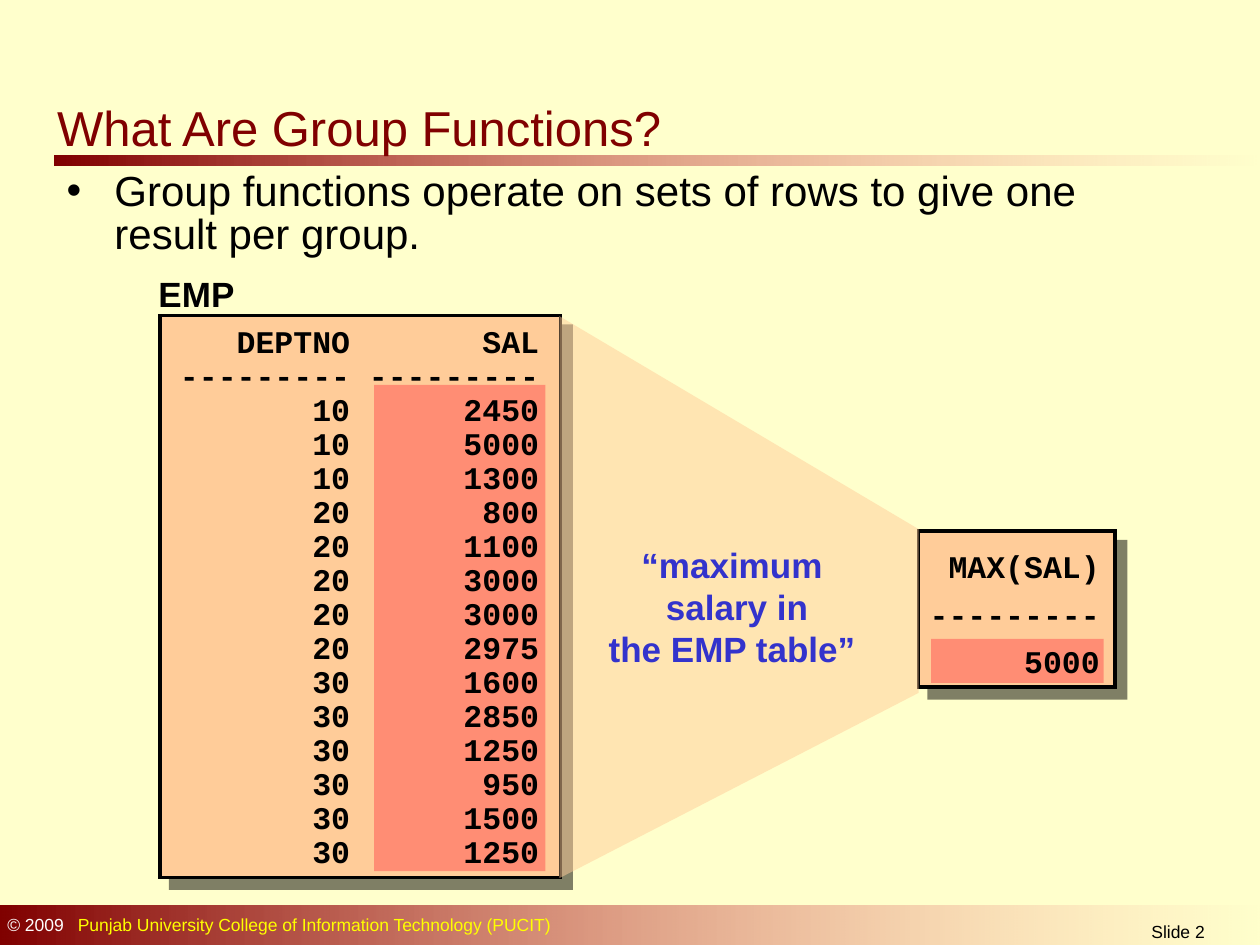
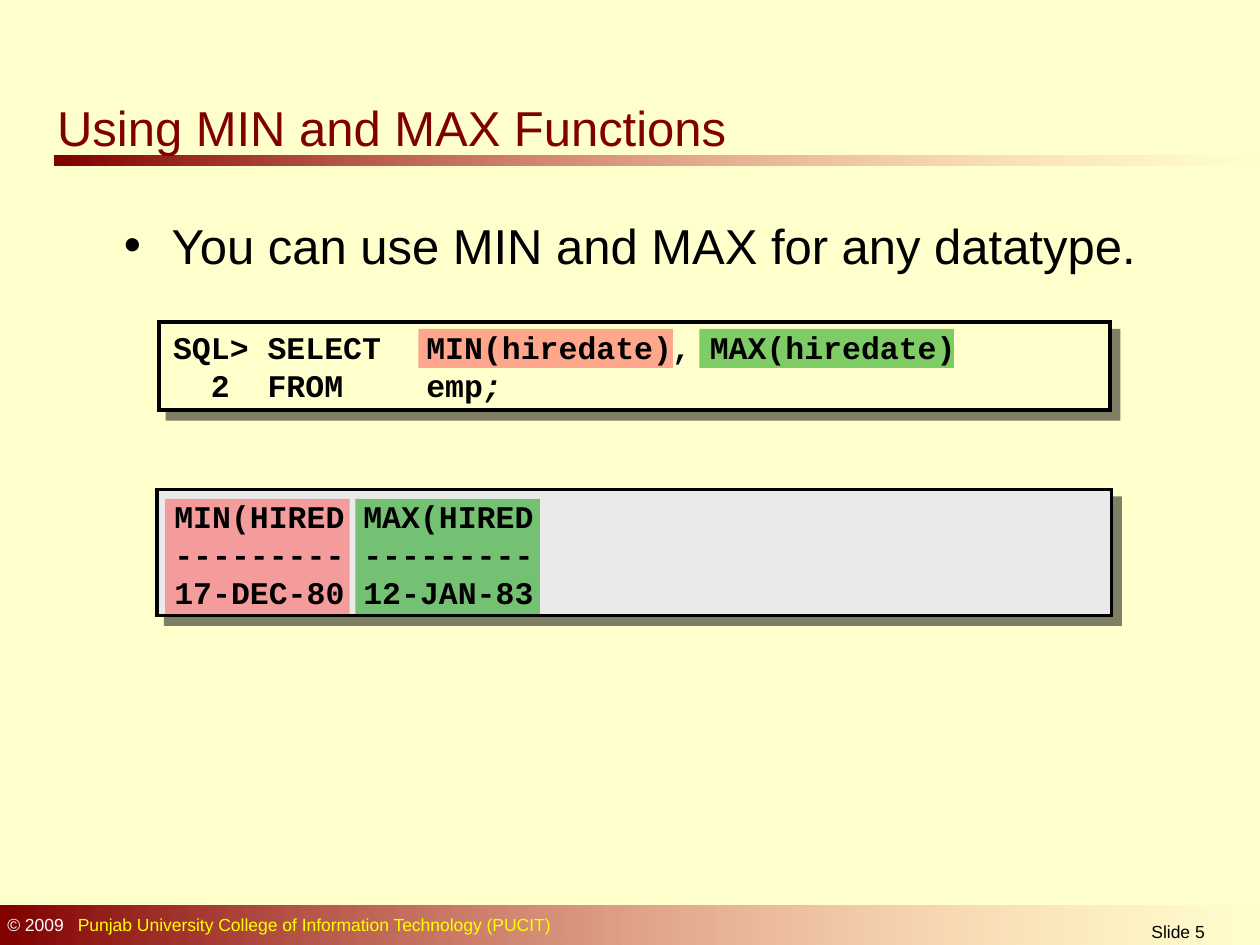
from dataclasses import dataclass
from typing import Optional

from lxml import etree
from pptx import Presentation, util as u
from pptx.dml.color import RGBColor
from pptx.enum import shapes, text
from pptx.oxml import ns

CREAM = RGBColor(0xFF, 0xFF, 0xCC)
PEACH = RGBColor(0xFF, 0xCC, 0x99)
GREY = RGBColor(0xEA, 0xEA, 0xEA)
MAROON = RGBColor(0x80, 0, 0)
PINK = RGBColor(0xFF, 0x85, 0x85)
RED = RGBColor(0xFF, 0x50, 0x50)
GREEN = RGBColor(0, 0x99, 0)
BLUE = RGBColor(0x33, 0x33, 0xCC)
YELLOW = RGBColor(0xFF, 0xFF, 0)
WHITE = RGBColor(0xFF, 0xFF, 0xFF)
BLACK = RGBColor(0, 0, 0)

SANS = "Arial"
MONO = "Courier New"
WIDE, HIGH = u.Inches(10), u.Inches(7.5)
COLS, ROWS = 100, 75
CHAR = 1.5
HANG = 3.8


def col(n: float) -> int:
    return round(WIDE * n / COLS)


def row(n: float) -> int:
    return round(HIGH * n / ROWS)


@dataclass(frozen=True)
class Box:
    x: float
    y: float
    w: float
    h: float

    def size(self) -> tuple[int, int, int, int]:
        return col(self.x), row(self.y), col(self.w), row(self.h)


@dataclass(frozen=True)
class Run:
    words: str
    color: Optional[RGBColor] = None
    slant: bool = False


@dataclass(frozen=True)
class Line:
    runs: tuple[Run, ...]
    left: float = 0
    right: float = 0


@dataclass(frozen=True)
class Style:
    size: float
    font: str = SANS
    color: RGBColor = BLACK
    bold: bool = False
    space: Optional[float] = None
    align: text.PP_ALIGN = text.PP_ALIGN.LEFT
    tabs: tuple[tuple[float, str], ...] = ()
    dot: bool = False


@dataclass(frozen=True)
class Card:
    box: Box
    fill: RGBColor
    drop: float


@dataclass(frozen=True)
class Tint:
    box: Box
    color: RGBColor


HEAD = Style(28, color=MAROON)
CODE = Style(18, MONO, bold=True)
ENDS = ((9 * CHAR, "r"), (19 * CHAR, "r"))
GRID = Style(18, MONO, bold=True, space=0.9, tabs=ENDS)
PEAK = Style(18, MONO, bold=True, space=1.25, tabs=ENDS[:1])
QUERY = Style(18, MONO, bold=True, tabs=((7.5, "l"), (20.1, "l")))
DASH = "-" * 9
STAFF = (
    (10, (2450, 5000, 1300)),
    (20, (800, 1100, 3000, 3000, 2975)),
    (30, (1600, 2850, 1250, 950, 1500, 1250)),
)


def add(parent, tag: str, **attrs):
    return etree.SubElement(parent, ns.qn(tag), {k: str(v) for k, v in attrs.items()})


def fade(shape, share: int) -> None:
    last = list(shape._element.spPr.iter(ns.qn("a:srgbClr")))[-1]
    add(last, "a:alpha", val=share * 1000)


def rect(slide, box: Box):
    shape = slide.shapes.add_shape(shapes.MSO_SHAPE.RECTANGLE, *box.size())
    shape.shadow.inherit = False
    shape.line.fill.background()
    return shape


def band(slide, box: Box) -> None:
    shape = rect(slide, box)
    shape.fill.gradient()
    shape.fill.gradient_angle = 0
    for stop, hue in zip(shape.fill.gradient_stops, (MAROON, PINK)):
        stop.color.rgb = hue
    fade(shape, 0)


def card(slide, item: Card) -> None:
    shape = rect(slide, item.box)
    shape.fill.solid()
    shape.fill.fore_color.rgb = item.fill
    shape.line.color.rgb = BLACK
    shape.line.width = u.Pt(2)
    add(shape._element.spPr.find(ns.qn("a:ln")), "a:miter", lim=800000)
    glow = shape._element.spPr.find(ns.qn("a:effectLst"))
    drop = add(glow, "a:outerShdw", blurRad=0, dist=u.Pt(item.drop),
               dir=45 * 60000, algn="ctr", rotWithShape=0)
    hue = add(drop, "a:srgbClr", val=BLACK)
    add(hue, "a:alpha", val=50000)


def tint(slide, item: Tint) -> None:
    shape = rect(slide, item.box)
    shape.fill.solid()
    shape.fill.fore_color.rgb = item.color
    fade(shape, 50)


def beam(slide, *spots: tuple[float, float]) -> None:
    first, *rest = [(col(x), row(y)) for x, y in spots]
    pen = slide.shapes.build_freeform(*first, scale=1.0)
    pen.add_line_segments(rest, close=True)
    shape = pen.convert_to_shape()
    shape.shadow.inherit = False
    shape.line.fill.background()
    shape.fill.solid()
    shape.fill.fore_color.rgb = PEACH
    fade(shape, 50)


def plain(*words: str) -> list[Line]:
    return [Line((Run(w),)) for w in words]


def shift(props, style: Style, line: Line) -> None:
    left, dent = (HANG, -HANG) if style.dot else (line.left, 0)
    for name, size in (("marL", left), ("marR", line.right), ("indent", dent)):
        if size:
            props.set(name, str(col(size)))
    if style.dot:
        add(add(props, "a:buClr"), "a:srgbClr", val=BLACK)
        add(props, "a:buFont", typeface=SANS)
        add(props, "a:buChar", char="•")
    if style.tabs:
        stops = add(props, "a:tabLst")
        for place, side in style.tabs:
            add(stops, "a:tab", pos=col(place), algn=side)


def write(slide, box: Box, style: Style, lines: list[Line], mid: bool = False) -> None:
    frame = slide.shapes.add_textbox(*box.size()).text_frame
    frame.word_wrap = True
    if mid:
        frame.vertical_anchor = text.MSO_ANCHOR.MIDDLE
    for i, line in enumerate(lines):
        para = frame.add_paragraph() if i else frame.paragraphs[0]
        shift(para._p.get_or_add_pPr(), style, line)
        para.alignment = style.align
        if style.space:
            para.line_spacing = style.space
        for part in line.runs:
            run = para.add_run()
            run.text = part.words
            run.font.name = style.font
            run.font.size = u.Pt(style.size)
            run.font.bold = style.bold
            run.font.italic = part.slant
            run.font.color.rgb = part.color or style.color


def start(deck, title: str, page: int):
    slide = deck.slides.add_slide(deck.slide_layouts[6])
    band(slide, Box(4.3, 12.35, 95.7, 0.8))
    band(slide, Box(0, 71.85, 100.3, 3.5))
    owner = Line((
        Run("© 2009", WHITE),
        Run("\tPunjab University College of Information Technology (PUCIT)", YELLOW),
    ))
    write(slide, Box(-0.4, 72.05, 64.6, 2.7), Style(10, tabs=((5.6, "l"),)), [owner])
    write(slide, Box(83.1, 72.6, 20.8, 2.4),
          Style(10, align=text.PP_ALIGN.CENTER), plain(f"Slide {page}"))
    write(slide, Box(3.55, 7.25, 90, 5.9), HEAD, plain(title))
    return slide


def groups(deck) -> None:
    slide = start(deck, "What Are Group Functions?", 2)
    for box in (Box(72.9, 42.15, 15.6, 12.4), Box(12.7, 25.05, 31.8, 44.6)):
        card(slide, Card(box, PEACH, 8.5))
    write(slide, Box(4.3, 13.15, 89.8, 7.8), Style(24, space=0.85, dot=True),
          plain("Group functions operate on sets of rows to give one result per group."))
    write(slide, Box(11.6, 21.1, 12, 4.3), Style(20, bold=True), plain("EMP"))
    beam(slide, (44.4, 69.7), (44.4, 25.1), (72.9, 42), (72.9, 55))
    write(slide, Box(46, 42.65, 25.7, 11),
          Style(20, color=BLUE, bold=True, align=text.PP_ALIGN.CENTER),
          [Line((Run("“maximum"),), right=1.5),
           Line((Run("salary in"),), left=0.8),
           Line((Run("the EMP table”"),))])
    for box in (Box(29.7, 30.55, 13.6, 38.6), Box(73.9, 50.7, 13.7, 3.5)):
        tint(slide, Tint(box, RED))
    pairs = [("DEPTNO", "SAL"), (DASH, DASH)]
    pairs += [(dept, pay) for dept, pays in STAFF for pay in pays]
    write(slide, Box(13.3, 25.4, 34.9, 44.2), GRID,
          plain(*(f"\t{dept}\t{pay}" for dept, pay in pairs)))
    write(slide, Box(72.8, 42.2, 17, 12.3), PEAK,
          plain(*(f"\t{word}" for word in ("MAX(SAL)", DASH, "5000"))))


def limits(deck) -> None:
    slide = start(deck, "Using MIN and MAX Functions", 5)
    card(slide, Card(Box(12.6, 25.55, 75.5, 7), CREAM, 7.1))
    card(slide, Card(Box(12.45, 38.85, 75.75, 10), GREY, 7.1))
    for hue, call, out in ((RED, 33.2, 13.1), (GREEN, 55.5, 28.2)):
        tint(slide, Tint(Box(call, 26.1, 20.2, 3.1), hue))
        tint(slide, Tint(Box(out, 39.6, 14.65, 9.15), hue))
    write(slide, Box(8.85, 16.6, 83.6, 5.7), Style(28, dot=True),
          plain("You can use MIN and MAX for any datatype."))
    write(slide, Box(12.75, 25.4, 75.8, 7.3), QUERY,
          [Line((Run("SQL> SELECT\tMIN(hiredate), MAX(hiredate)"),)),
           Line((Run("  2  FROM\temp"), Run(";", slant=True)))], mid=True)
    write(slide, Box(12.85, 38.95, 75.5, 10), CODE,
          plain("MIN(HIRED MAX(HIRED", f"{DASH} {DASH}", "17-DEC-80 12-JAN-83"))


def main() -> None:
    deck = Presentation()
    deck.slide_width, deck.slide_height = WIDE, HIGH
    back = deck.slide_master.background.fill
    back.solid()
    back.fore_color.rgb = CREAM
    groups(deck)
    limits(deck)
    deck.save("out.pptx")


if __name__ == "__main__":
    main()
